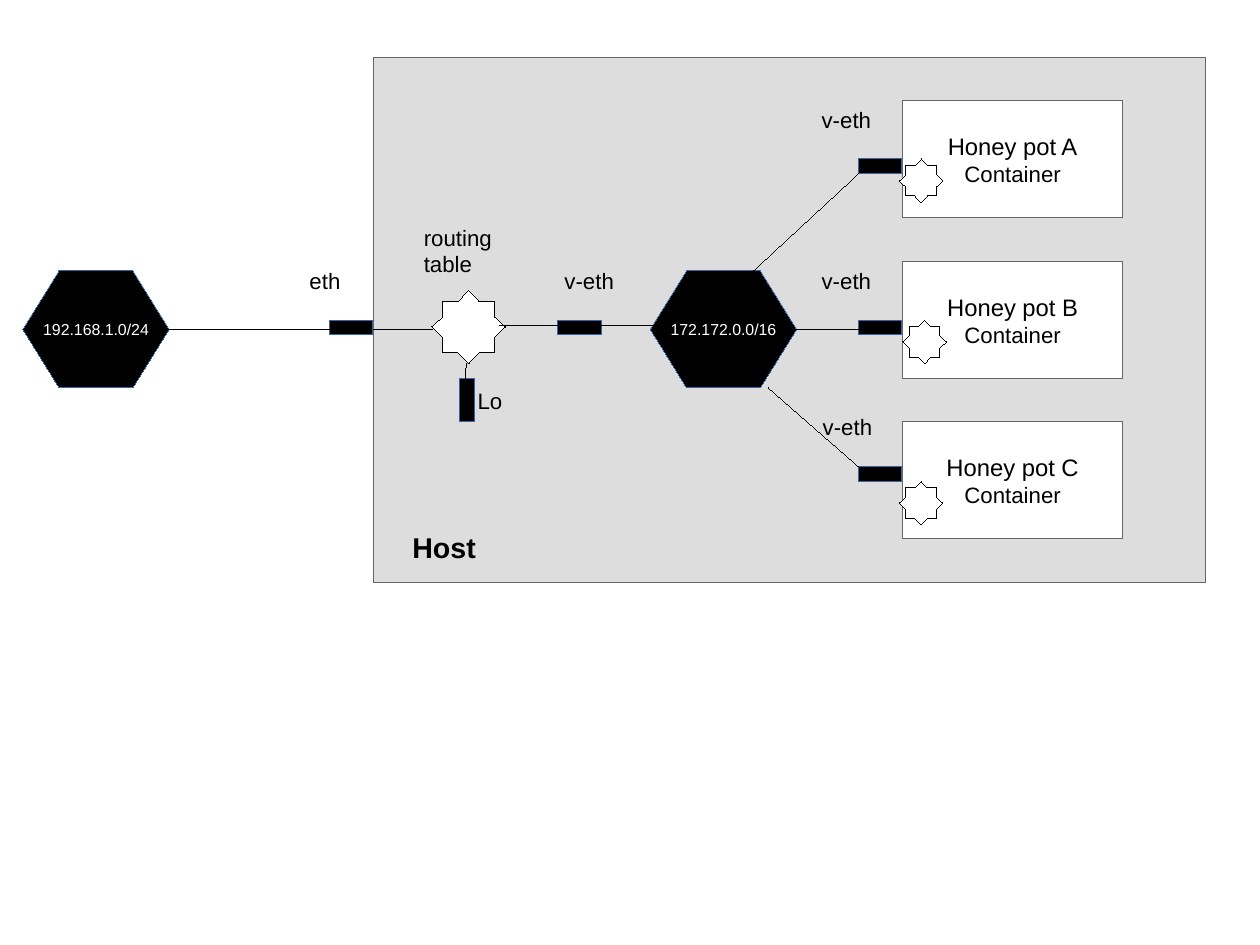
from dataclasses import dataclass

from lxml import etree
from pptx import Presentation
from pptx.dml.color import RGBColor
from pptx.enum.shapes import MSO_CONNECTOR, MSO_SHAPE
from pptx.enum.text import MSO_ANCHOR, PP_ALIGN
from pptx.oxml.ns import qn
from pptx.util import Emu, Pt

RECTANGLE = MSO_SHAPE.RECTANGLE
HEXAGON = MSO_SHAPE.HEXAGON
STAR = MSO_SHAPE.STAR_8_POINT
STRAIGHT = MSO_CONNECTOR.STRAIGHT
LEFT, CENTER = PP_ALIGN.LEFT, PP_ALIGN.CENTER
TOP, MIDDLE = MSO_ANCHOR.TOP, MSO_ANCHOR.MIDDLE

EMU_PER_PX = 9144  # 100 px to the inch
SLIDE_WIDTH, SLIDE_HEIGHT = Emu(10080625), Emu(7559675)  # 28 by 21 cm
HAIRLINE = Emu(1)  # a width of zero would fall back to the theme's line


@dataclass(frozen=True)
class Theme:
    font: str = "Arial"
    black: str = "000000"
    white: str = "FFFFFF"
    host_fill: str = "DDDDDD"
    box_line: str = "666666"
    device_line: str = "3465A4"
    network_size: int = 10
    label_size: int = 14
    name_size: int = 15
    host_size: int = 18


THEME = Theme()


@dataclass(frozen=True)
class Look:
    fill: str
    line: str


HOST_LOOK = Look(THEME.host_fill, THEME.box_line)
BOX_LOOK = Look(THEME.white, THEME.box_line)
DEVICE_LOOK = Look(THEME.black, THEME.device_line)
ROUTER_LOOK = Look(THEME.white, THEME.black)


@dataclass(frozen=True)
class TextLine:
    text: str
    size: int = THEME.label_size
    color: str = THEME.black
    bold: bool = False


@dataclass(frozen=True)
class Label:
    left: int
    top: int
    width: int
    height: int
    lines: tuple[TextLine, ...]


@dataclass(frozen=True)
class Network:
    left: int
    address: str


@dataclass(frozen=True)
class Container:
    name: str
    top: int
    port_top: int
    star_left: int
    star_top: int
    label_left: int
    label_top: int


NETWORKS = (Network(569, "172.172.0.0/16"), Network(20, "192.168.1.0/24"))

CONTAINERS = (
    Container("Honey pot A", 88, 139, 787, 139, 709, 88),
    Container("Honey pot B", 229, 280, 790, 280, 709, 229),
    Container("Honey pot C", 369, 408, 787, 421, 710, 357),
)

BOX_LEFT = 790
PORT_LONG, PORT_SHORT = 38, 13
PORT_LEFT = 751

# Left, top, width, height of the ports on the host
HOST_PORTS = (
    (488, 280, PORT_LONG, PORT_SHORT),
    (288, 280, PORT_LONG, PORT_SHORT),
    (402, 331, PORT_SHORT, PORT_LONG),
)

# Start x, start y, end x, end y
LINKS = (
    (148, 288, 288, 288),
    (327, 288, 378, 288),
    (437, 285, 488, 285),
    (521, 285, 572, 285),
    (659, 237, 751, 152),
    (751, 408, 672, 339),
    (751, 288, 697, 288),
    (407, 331, 408, 318),
)

VETH = (TextLine("v-eth"),)
LABELS = (
    Label(408, 334, 53, 41, (TextLine("Lo"),)),
    Label(351, 459, 96, 48, (TextLine("Host", THEME.host_size, bold=True),)),
    Label(261, 229, 60, 41, (TextLine("eth"),)),
    Label(484, 229, 81, 41, VETH),
    Label(361, 191, 102, 68, (TextLine("routing"), TextLine("table"))),
    *(Label(row.label_left, row.label_top, 81, 41, VETH) for row in CONTAINERS),
)


def px(length: int) -> int:
    return length * EMU_PER_PX


def write_text(shape, lines: tuple[TextLine, ...], alignment, anchor, wrap: bool) -> None:
    frame = shape.text_frame
    for name, value in {"word_wrap": wrap, "vertical_anchor": anchor}.items():
        setattr(frame, name, value)
    for index, line in enumerate(lines):
        paragraph = frame.add_paragraph() if index else frame.paragraphs[0]
        paragraph.alignment = alignment
        run = paragraph.add_run()
        run.text = line.text
        formats = {"name": THEME.font, "size": Pt(line.size), "bold": line.bold}
        for name, value in formats.items():
            setattr(run.font, name, value)
        run.font.color.rgb = RGBColor.from_string(line.color)


def draw_shape(slide, kind, left: int, top: int, width: int, height: int, look: Look,
               lines: tuple[TextLine, ...] = (), adjustment: float | None = None) -> None:
    shape = slide.shapes.add_shape(kind, px(left), px(top), px(width), px(height))
    shape.shadow.inherit = False
    shape.fill.solid()
    shape.fill.fore_color.rgb = RGBColor.from_string(look.fill)
    shape.line.color.rgb = RGBColor.from_string(look.line)
    shape.line.width = HAIRLINE
    if adjustment is not None:
        shape.adjustments[0] = adjustment
    if lines:
        write_text(shape, lines, CENTER, MIDDLE, wrap=False)


def draw_star(slide, left: int, top: int, size: int) -> None:
    draw_shape(slide, STAR, left, top, size, size, ROUTER_LOOK, adjustment=0.38)


def draw_link(slide, start_x: int, start_y: int, end_x: int, end_y: int) -> None:
    link = slide.shapes.add_connector(STRAIGHT, px(start_x), px(start_y), px(end_x), px(end_y))
    link.line.color.rgb = RGBColor.from_string(THEME.black)
    link.line.width = HAIRLINE
    etree.SubElement(link._element.spPr, qn("a:effectLst"))


def draw_label(slide, label: Label) -> None:
    box = slide.shapes.add_textbox(px(label.left), px(label.top), px(label.width), px(label.height))
    write_text(box, label.lines, LEFT, TOP, wrap=True)


def main() -> None:
    presentation = Presentation()
    presentation.slide_width = SLIDE_WIDTH
    presentation.slide_height = SLIDE_HEIGHT
    slide = presentation.slides.add_slide(presentation.slide_layouts[6])

    # Host, networks and containers
    draw_shape(slide, RECTANGLE, 327, 50, 728, 460, HOST_LOOK)
    for network in NETWORKS:
        address = TextLine(network.address, THEME.network_size, THEME.white)
        draw_shape(slide, HEXAGON, network.left, 237, 128, 102, DEVICE_LOOK, (address,), 0.31)
    for row in CONTAINERS:
        title = (TextLine(row.name, THEME.name_size), TextLine("Container"))
        draw_shape(slide, RECTANGLE, BOX_LEFT, row.top, 192, 102, BOX_LOOK, title)

    # Network ports
    container_ports = [(PORT_LEFT, row.port_top, PORT_LONG, PORT_SHORT) for row in CONTAINERS]
    for port in (*container_ports, *HOST_PORTS):
        draw_shape(slide, RECTANGLE, *port, DEVICE_LOOK)

    # Routing table, links and labels
    draw_star(slide, 378, 254, 64)
    for link in LINKS:
        draw_link(slide, *link)
    for label in LABELS:
        draw_label(slide, label)

    # Routing tables of the containers
    for row in CONTAINERS:
        draw_star(slide, row.star_left, row.star_top, 38)

    presentation.save("out.pptx")


if __name__ == "__main__":
    main()
